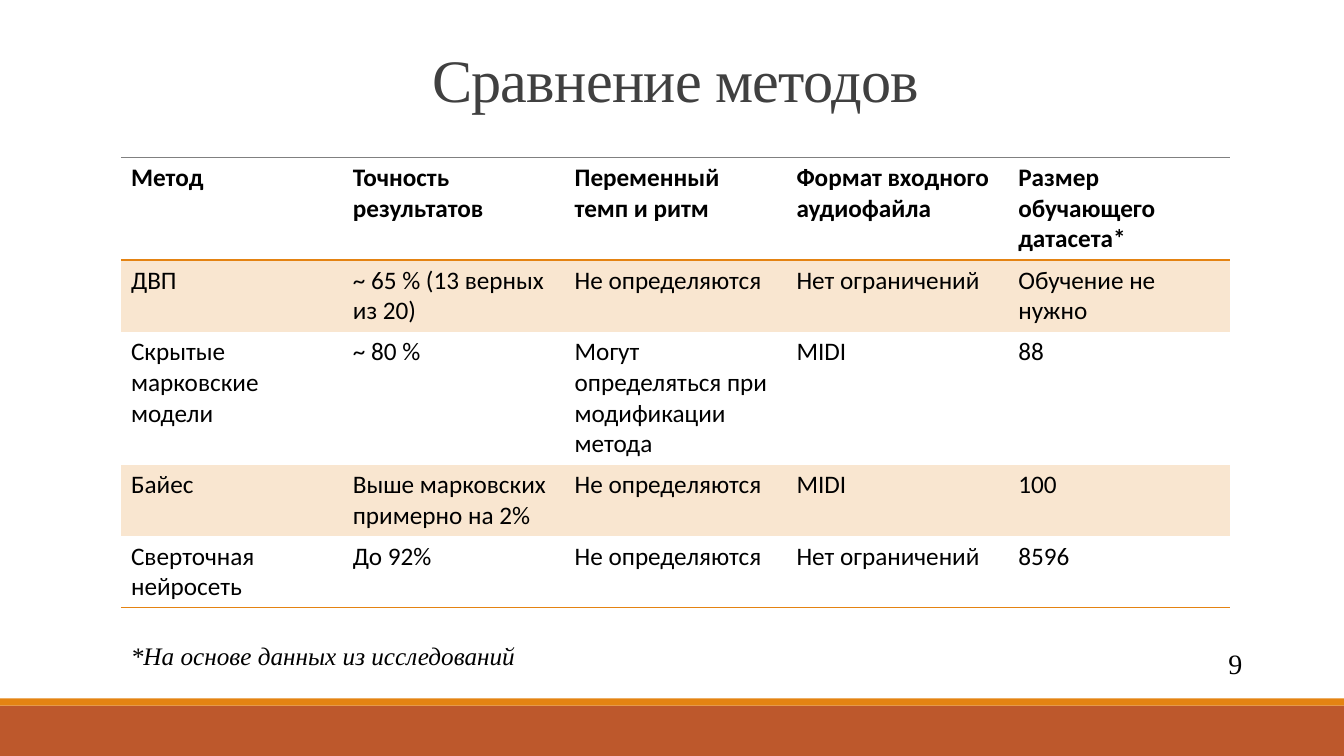
import pptx
import pptx.util
import pptx.dml.color
import pptx.enum.shapes
import pptx.enum.text
import pptx.oxml
import pptx.oxml.ns

Inches, Pt = pptx.util.Inches, pptx.util.Pt
RGB = pptx.dml.color.RGBColor.from_string
ALIGN = pptx.enum.text.PP_ALIGN
ANCHOR = pptx.enum.text.MSO_ANCHOR
SERIF = "Times New Roman"
COLORS = {"rust": "BD582C", "orange": "E48312", "band": "F9E6D0",
          "white": "FFFFFF", "title": "404040", "text": "000000",
          "rule": "808080"}


def add_text(box, text, size, color, align, anchor):
    """Add a line of serif text and return its paragraph."""
    shape = slide.shapes.add_textbox(*map(Inches, box))
    frame = shape.text_frame
    frame.word_wrap = True
    frame.vertical_anchor = anchor
    para = frame.paragraphs[0]
    para.text = text
    para.alignment = align
    para.font.name = SERIF
    para.font.size = Pt(size)
    para.font.color.rgb = RGB(COLORS[color])
    return para


def add_edge(cell, tag, color, width):
    """Draw one border of a cell; must come before its fill."""
    line = pptx.oxml.parse_xml(
        f'<a:{tag} {pptx.oxml.ns.nsdecls("a")} w="{Pt(width)}"><a:solidFill>'
        f'<a:srgbClr val="{COLORS[color]}"/></a:solidFill></a:{tag}>')
    cell._tc.get_or_add_tcPr().append(line)


deck = pptx.Presentation()
deck.slide_width, deck.slide_height = Inches(13.33), Inches(7.5)
slide = deck.slides.add_slide(deck.slide_layouts[6])

# Footer bars and white panel
for box, color in [((0, 7, 13.33, 0.5), "rust"),
                   ((0, 6.93, 13.33, 0.07), "orange"),
                   ((0.89, 1.19, 11.58, 1.33), "white")]:
    bar = slide.shapes.add_shape(
        pptx.enum.shapes.MSO_SHAPE.RECTANGLE, *map(Inches, box))
    bar.shadow.inherit = False
    bar.fill.solid()
    bar.fill.fore_color.rgb = RGB(COLORS[color])
    bar.line.fill.background()

# Title
title = add_text((1.2, 0.37, 11, 0.82), "Сравнение методов", 43, "title",
                 ALIGN.CENTER, ANCHOR.BOTTOM)
title.line_spacing = 0.85
title.runs[0].font._element.set("spc", "-50")

# Table of methods
rows = [
    ["Метод", "Точность результатов", "Переменный темп и ритм",
     "Формат входного аудиофайла", "Размер обучающего датасета*"],
    ["ДВП", "~ 65 % (13 верных из 20)", "Не определяются",
     "Нет ограничений", "Обучение не нужно"],
    ["Скрытые марковские модели", "~ 80 %",
     "Могут определяться при модификации метода", "MIDI", "88"],
    ["Байес", "Выше марковских примерно на 2%", "Не определяются",
     "MIDI", "100"],
    ["Сверточная нейросеть", "До 92%", "Не определяются",
     "Нет ограничений", "8596"],
]
heights = [1.02, 0.71, 1.32, 0.71, 0.71]
table = slide.shapes.add_table(
    len(rows), len(rows[0]), Inches(1.2), Inches(1.56),
    Inches(11), Inches(sum(heights))).table
# Plain style without grid lines
style = table._tbl.tblPr.find(pptx.oxml.ns.qn("a:tableStyleId"))
style.text = "{2D5ABB26-0587-4C30-8999-92F81FD0307C}"

for r, (row, height) in enumerate(zip(rows, heights)):
    table.rows[r].height = Inches(height)
    for c, text in enumerate(row):
        cell = table.cell(r, c)
        cell.text = text
        font = cell.text_frame.paragraphs[0].font
        font.name = "Calibri"
        font.size = Pt(18)
        font.bold = r == 0
        font.color.rgb = RGB(COLORS["text"])
        if r == 0:
            add_edge(cell, "lnT", "rule", 0.75)
        if r in (0, len(rows) - 1):
            add_edge(cell, "lnB", "orange", 1)
        if r % 2:
            cell.fill.solid()
            cell.fill.fore_color.rgb = RGB(COLORS["band"])
        else:
            cell.fill.background()

# Page number and footnote
add_text((9.42, 6.38, 3, 0.4), "9", 20, "text", ALIGN.RIGHT, ANCHOR.MIDDLE)
note = add_text((1.2, 6.3, 10.71, 0.4), "*На основе данных из исследований",
                18, "text", ALIGN.LEFT, ANCHOR.TOP)
note.font.italic = True

deck.save("out.pptx")
